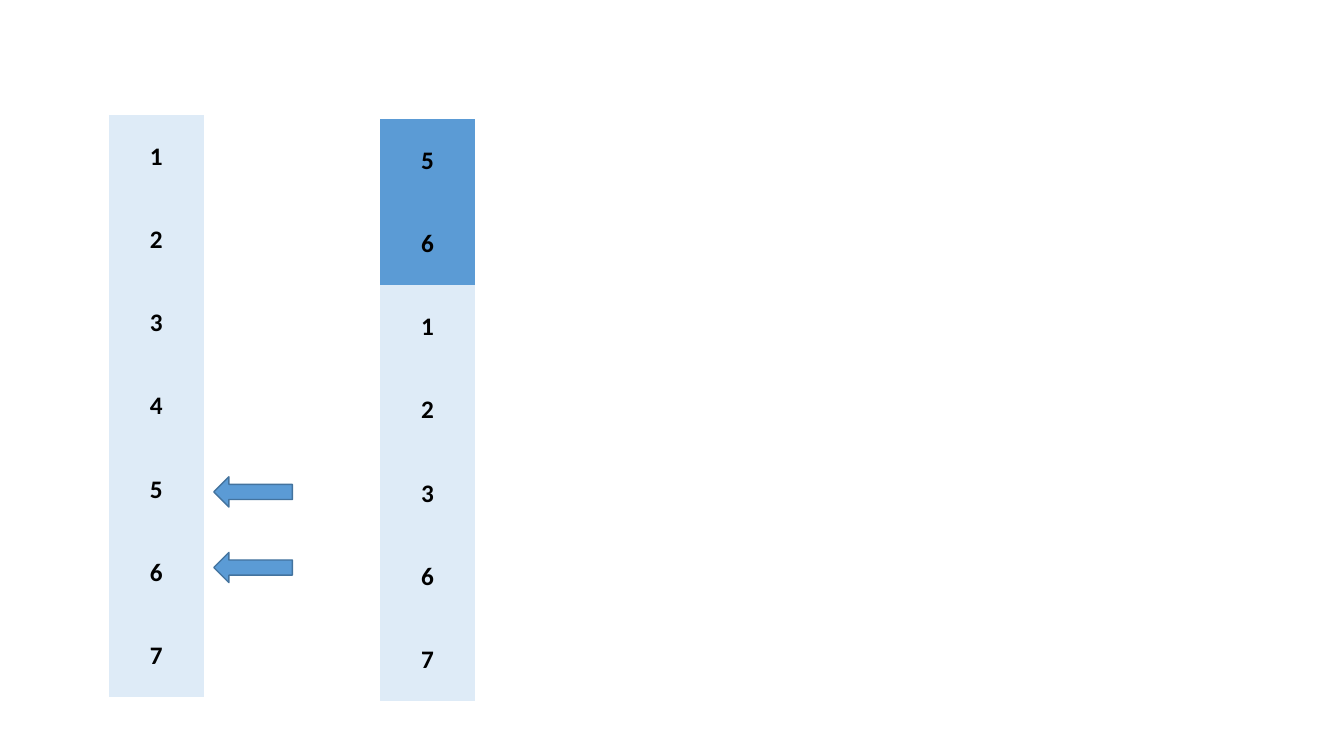
import pptx
import pptx.util
import pptx.dml.color
import pptx.enum.shapes
import pptx.enum.text
from pptx.util import Inches

COLORS = {"pale": "DEEBF7", "blue": "5B9BD5", "edge": "43739E", "ink": "000000"}
PLAIN_STYLE = "{2D5ABB26-0587-4C30-8999-92F81FD0307C}"  # no fill, no grid


def color(name):
    """Return the named colour."""
    return pptx.dml.color.RGBColor.from_string(COLORS[name])


def add_stack(slide, box, items, marked=0):
    """Fill the box with a column of numbers, the first few marked."""
    frame = slide.shapes.add_table(len(items), 1, *map(Inches, box))
    table = frame.table
    table.first_row = table.horz_banding = False
    for style in frame.element.iter("{*}tableStyleId"):
        style.text = PLAIN_STYLE
    for row, item in enumerate(items):
        cell = table.cell(row, 0)
        cell.fill.solid()
        cell.fill.fore_color.rgb = color("blue" if row < marked else "pale")
        cell.vertical_anchor = pptx.enum.text.MSO_ANCHOR.MIDDLE
        cell.text_frame.text = item
        line = cell.text_frame.paragraphs[0]
        line.alignment = pptx.enum.text.PP_ALIGN.CENTER
        font = line.runs[0].font
        font.name, font.size, font.bold = "Calibri", pptx.util.Pt(18), True
        font.color.rgb = color("ink")


def add_arrows(slide, box, count, step):
    """Draw arrows pointing left, the first in the box, the rest below."""
    left, top, width, height = box
    for index in range(count):
        arrow = slide.shapes.add_shape(
            pptx.enum.shapes.MSO_SHAPE.RIGHT_ARROW,
            Inches(left), Inches(top + index * step),
            Inches(width), Inches(height))
        arrow.rotation = 180
        arrow.shadow.inherit = False
        arrow.fill.solid()
        arrow.fill.fore_color.rgb = color("blue")
        arrow.line.color.rgb = color("edge")
        arrow.line.width = pptx.util.Pt(1)


deck = pptx.Presentation()
deck.slide_width, deck.slide_height = Inches(13.33), Inches(7.5)
slide = deck.slides.add_slide(deck.slide_layouts[6])
add_stack(slide, (1.08, 1.14, 0.94, 5.78), "1234567")
add_stack(slide, (3.77, 1.18, 0.94, 5.78), "5612367", marked=2)
add_arrows(slide, (2.12, 4.73, 0.78, 0.3), count=2, step=0.75)
deck.save("out.pptx")
